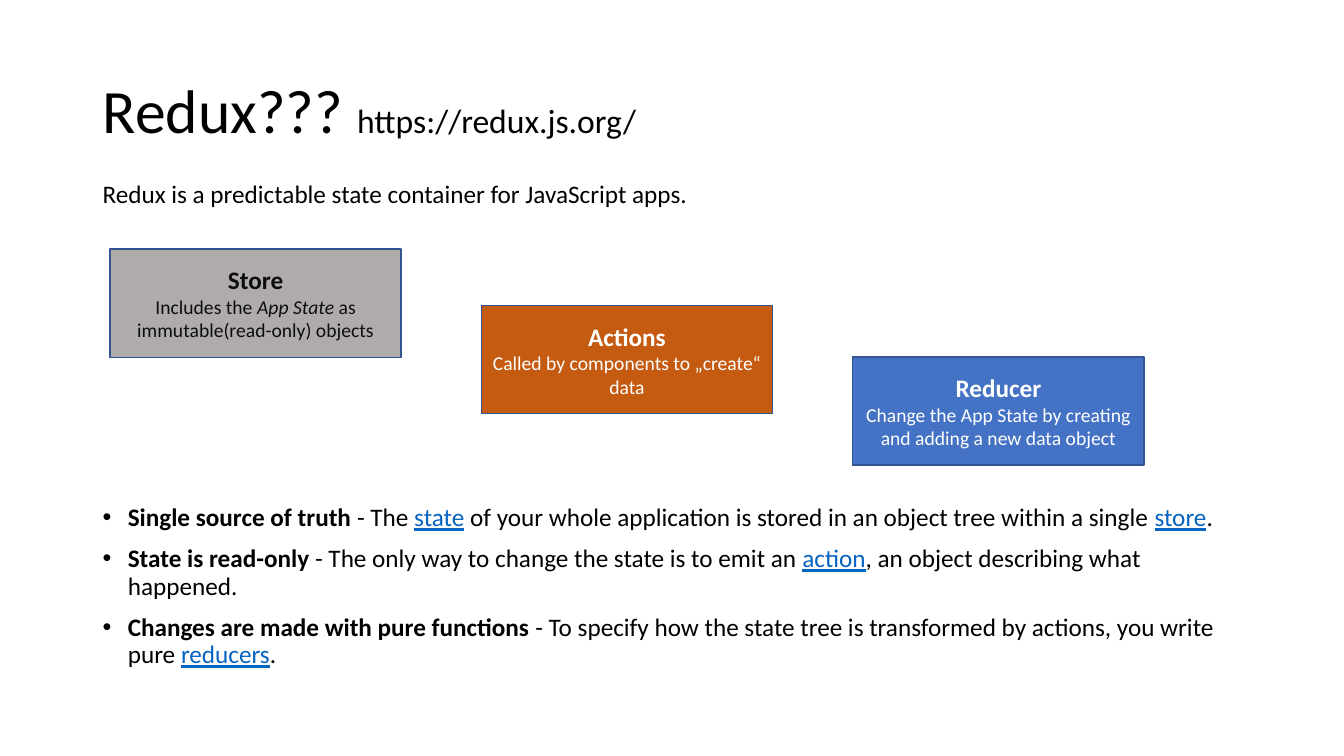
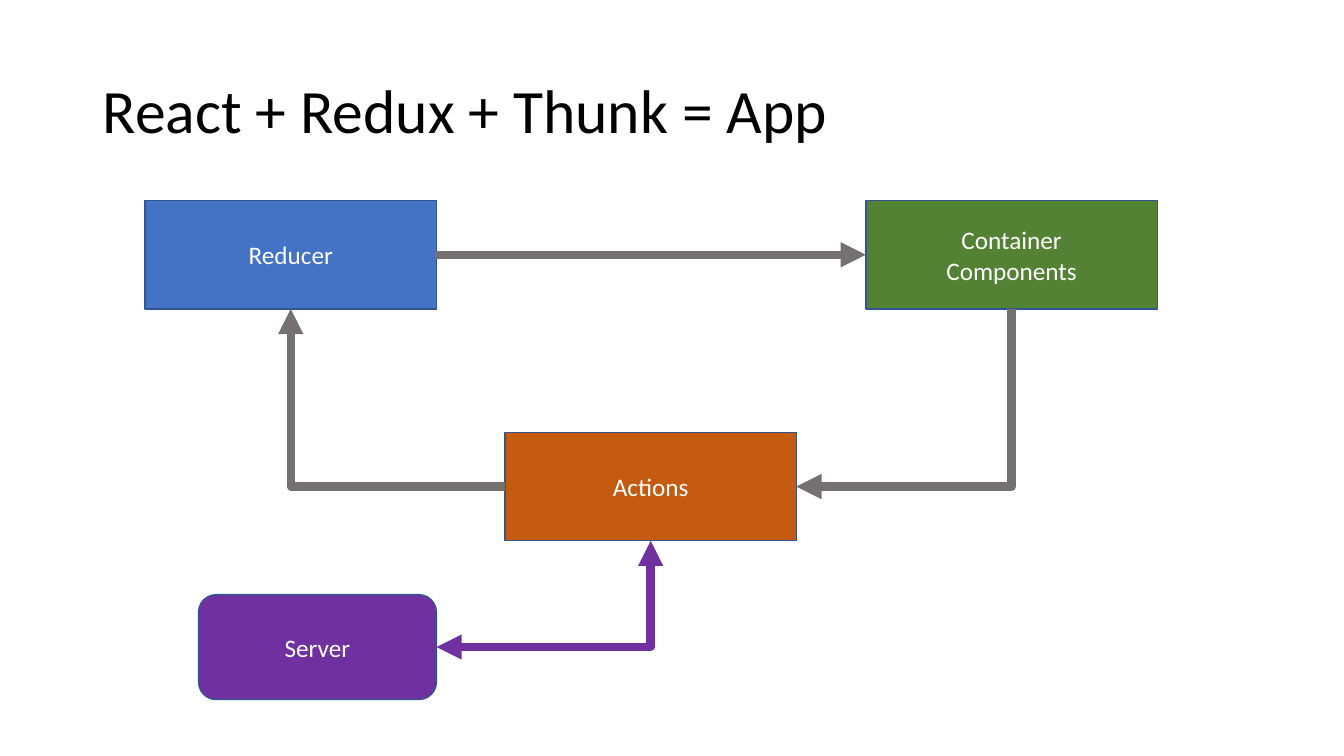
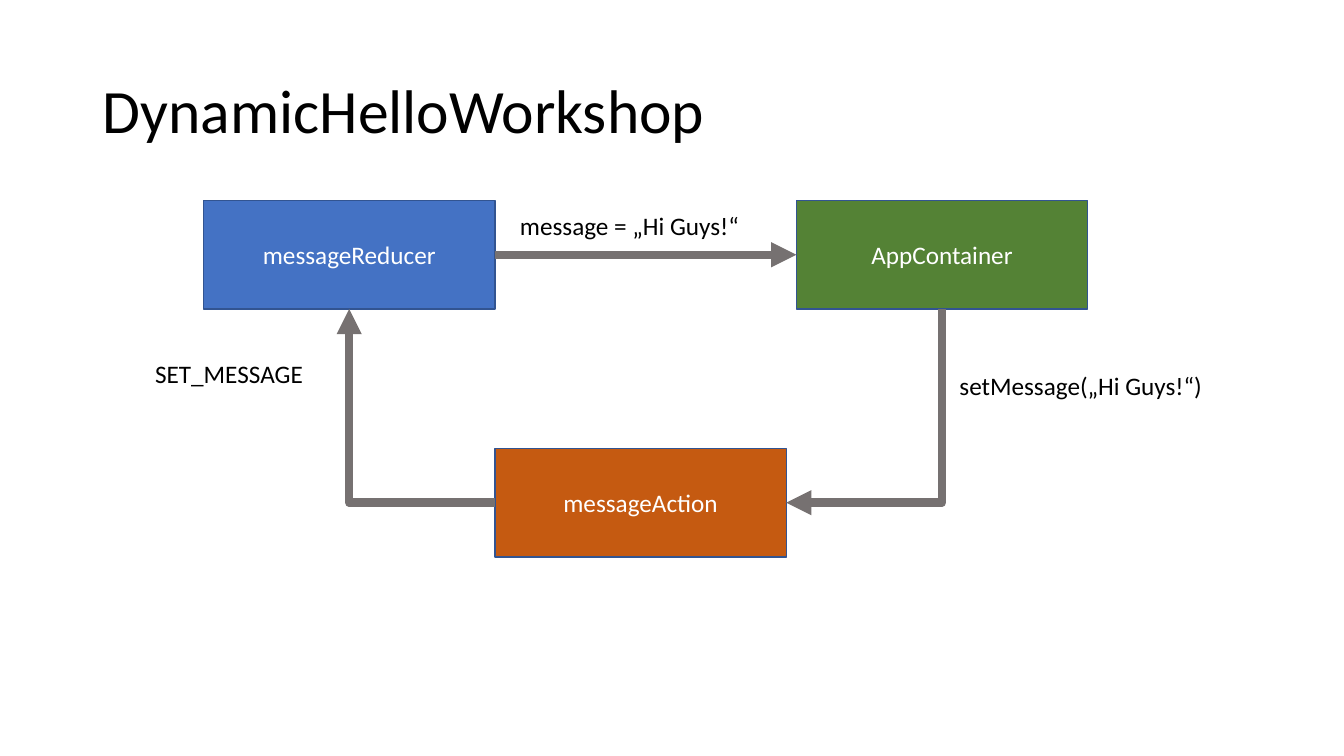
from pptx import Presentation
from pptx import util as u
from pptx.dml.color import RGBColor
from pptx.enum import shapes, text
from pptx.oxml import ns, xmlchemy

BLACK = RGBColor(0x00, 0x00, 0x00)
INK = RGBColor(0x0D, 0x0D, 0x0D)
WHITE = RGBColor(0xFF, 0xFF, 0xFF)
BLUE = RGBColor(0x44, 0x72, 0xC4)
GREEN = RGBColor(0x54, 0x82, 0x35)
ORANGE = RGBColor(0xC5, 0x5A, 0x11)
PURPLE = RGBColor(0x70, 0x30, 0xA0)
GREY = RGBColor(0xAF, 0xAB, 0xAB)
ARROW_GREY = RGBColor(0x76, 0x71, 0x71)
OUTLINE = RGBColor(0x32, 0x54, 0x91)
LINK = RGBColor(0x05, 0x63, 0xC1)

CELL = u.Inches(0.1)  # grid of 133.3 columns by 75 rows
COLUMNS, ROWS = 133.33, 75
BOX_WIDTH, BOX_HEIGHT = 28.9, 10.75
TOP, LEFT, BOTTOM, RIGHT = range(4)  # connection sites of a box

BOLD = {"bold": True}
SMALL = {"size": u.Pt(14)}
LINKED = {"color": LINK, "underline": True}
CENTERED = {"alignment": text.PP_ALIGN.CENTER}
TITLE = {"alignment": text.PP_ALIGN.LEFT, "line_spacing": 0.9}
BULLETED = {"line_spacing": 0.9, "space_before": u.Pt(10)}


def grid(*cells):
    return [round(cell * CELL) for cell in cells]


def set_values(target, values):
    for name, value in values.items():
        if name == "color":
            target.color.rgb = value
        else:
            setattr(target, name, value)


def append_element(parent, tag, **attributes):
    element = xmlchemy.OxmlElement(tag)
    for name, value in attributes.items():
        element.set(name, value)
    parent.append(element)


class Deck:
    """Holds the style and the current slide."""

    font = {"name": "Calibri", "size": u.Pt(18), "color": BLACK}

    def __init__(self):
        self.presentation = Presentation()
        self.presentation.slide_width, self.presentation.slide_height = grid(COLUMNS, ROWS)
        self.slide = None

    def add_text(self, shape, paragraphs, layout, **font):
        """Each paragraph is a list of runs: plain text or (text, format values)."""
        frame = shape.text_frame
        frame.word_wrap = True
        for index, runs in enumerate(paragraphs):
            paragraph = frame.add_paragraph() if index else frame.paragraphs[0]
            set_values(paragraph, layout)
            for item in runs:
                content, values = (item, {}) if isinstance(item, str) else item
                run = paragraph.add_run()
                run.text = content
                set_values(run.font, {**self.font, **font, **values})

    def new_slide(self, *title_runs):
        self.slide = self.presentation.slides.add_slide(self.presentation.slide_layouts[5])
        title = self.slide.shapes.title
        title.left, title.top, title.width, title.height = grid(9.2, 4, 115, 14.5)
        set_values(title.text_frame, {"auto_size": text.MSO_AUTO_SIZE.NONE,
                                      "vertical_anchor": text.MSO_ANCHOR.MIDDLE})
        self.add_text(title, [title_runs], TITLE, size=u.Pt(44))

    def text_box(self, column, row, paragraphs, width=27.3, height=4, layout=None):
        box = self.slide.shapes.add_textbox(*grid(column, row, width, height))
        self.add_text(box, paragraphs, layout or {})
        return box

    def bullets(self, column, row, paragraphs, width, height):
        box = self.text_box(column, row, paragraphs, width, height, BULLETED)
        for paragraph in box.text_frame.paragraphs:
            properties = paragraph._p.get_or_add_pPr()
            properties.set("marL", str(u.Inches(0.25)))
            properties.set("indent", str(-u.Inches(0.25)))
            append_element(properties, "a:buFont", typeface="Arial")
            append_element(properties, "a:buChar", char="•")

    def box(self, column, row, paragraphs, fill, color=WHITE, width=BOX_WIDTH,
            height=BOX_HEIGHT, kind=shapes.MSO_SHAPE.RECTANGLE):
        box = self.slide.shapes.add_shape(kind, *grid(column, row, width, height))
        box.shadow.inherit = False
        box.fill.solid()
        box.fill.fore_color.rgb = fill
        set_values(box.line, {"color": OUTLINE, "width": u.Pt(1)})
        self.add_text(box, paragraphs, CENTERED, color=color)
        return box

    def arrow(self, start, start_site, end, end_site, heads, color=ARROW_GREY):
        """Join two boxes; a bent arrow starts at the box it leaves sideways."""
        bent = end_site in (TOP, BOTTOM)
        kind = shapes.MSO_CONNECTOR.ELBOW if bent else shapes.MSO_CONNECTOR.STRAIGHT
        arrow = self.slide.shapes.add_connector(kind, 0, 0, 0, 0)
        arrow.begin_connect(start, start_site)
        arrow.end_connect(end, end_site)
        set_values(arrow.line, {"color": color, "width": u.Pt(6)})
        properties = arrow._element.spPr
        if bent:  # a single corner
            properties.find(ns.qn("a:prstGeom")).set("prst", "bentConnector2")
        for head in heads:
            append_element(properties.find(ns.qn("a:ln")), head, type="triangle")
        append_element(properties, "a:effectLst")

    def cycle(self, reducer, container, action):
        """Reducer, container and action boxes, each (column, row, paragraphs)."""
        reducer = self.box(*reducer, BLUE)
        container = self.box(*container, GREEN)
        action = self.box(*action, ORANGE)
        self.arrow(action, RIGHT, container, BOTTOM, ["a:headEnd"])
        self.arrow(reducer, RIGHT, container, LEFT, ["a:tailEnd"])
        self.arrow(action, LEFT, reducer, BOTTOM, ["a:tailEnd"])
        return action


def redux_slide(deck):
    deck.new_slide("Redux??? ", ("https://redux.js.org/", {"size": u.Pt(24)}))
    deck.bullets(9.2, 49.6, [
        [("Single source of truth ", BOLD), "- The ", ("state", LINKED),
         " of your whole application is stored in an object tree within a single ",
         ("store", LINKED), "."],
        [("State is read-only ", BOLD), "- The only way to change the state is to emit an ",
         ("action", LINKED), ", an object describing what happened."],
        [("Changes are made with pure functions ", BOLD),
         "- To specify how the state tree is transformed by actions, you write pure ",
         ("reducers", LINKED), "."],
    ], width=115, height=19.4)
    deck.text_box(9.2, 17.2, [["Redux is a predictable state container for JavaScript apps."]],
                  width=115.6)
    # Three building blocks in falling steps
    blocks = [
        (24.7, "Store", ["Includes the ", ("App State ", {"italic": True}),
                         "as immutable(read-only) objects"], GREY, INK),
        (30.3, "Actions", ["Called by components to „create“ data"], ORANGE, WHITE),
        (35.4, "Reducer", ["Change the App State by creating and adding a new data object"],
         BLUE, WHITE),
    ]
    for index, (row, name, details, fill, color) in enumerate(blocks):
        small = [(item, SMALL) if isinstance(item, str) else (item[0], {**SMALL, **item[1]})
                 for item in details]
        deck.box(10.9 + 36.85 * index, row, [[(name, BOLD)], small], fill, color)


def app_slide(deck):
    deck.new_slide("React + Redux + Thunk = App")
    actions = deck.cycle((14.4, 19.9, [["Reducer"]]),
                         (85.9, 19.9, [["Container"], ["Components"]]),
                         (50.1, 42.9, [["Actions"]]))
    server = deck.box(19.7, 59, [["Server"]], PURPLE, width=23.6, height=10.4,
                      kind=shapes.MSO_SHAPE.ROUNDED_RECTANGLE)
    deck.arrow(server, RIGHT, actions, BOTTOM, ["a:headEnd", "a:tailEnd"], PURPLE)


def hello_slide(deck):
    deck.new_slide("DynamicHelloWorkshop")
    deck.cycle((20.2, 19.9, [["messageReducer"]]),
               (79, 19.9, [["AppContainer"]]),
               (49.1, 44.5, [["messageAction"]]))
    # Arrow labels
    for column, row, label in [(94.2, 36.2, "setMessage(„Hi Guys!“)"),
                               (14.4, 35.1, "SET_MESSAGE"),
                               (50.6, 20.4, "message = „Hi Guys!“")]:
        deck.text_box(column, row, [[label]])


def main():
    deck = Deck()
    for draw in (redux_slide, app_slide, hello_slide):
        draw(deck)
    deck.presentation.save("out.pptx")


if __name__ == "__main__":
    main()
